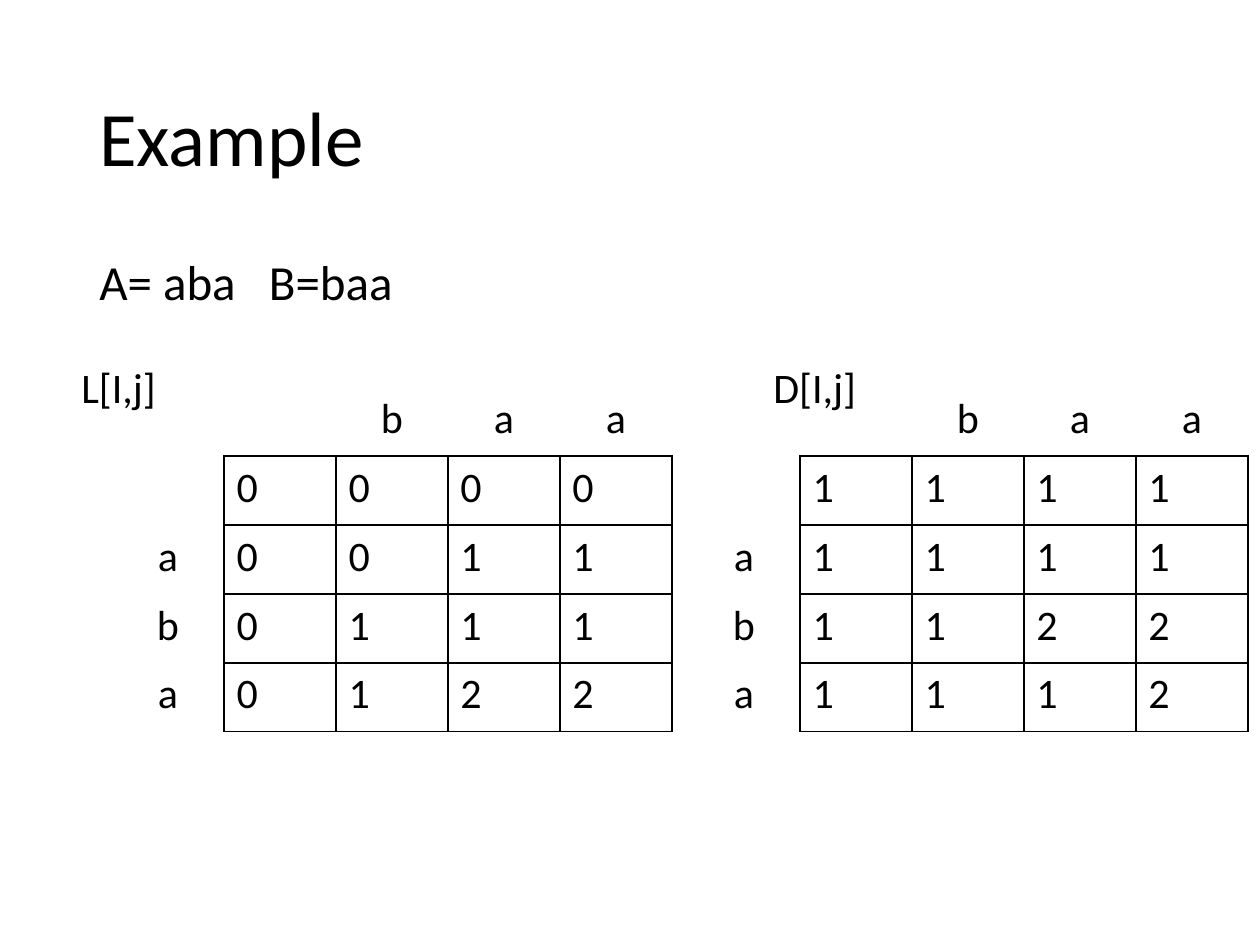
from dataclasses import dataclass

from lxml import etree
from pptx import Presentation
from pptx.dml.color import RGBColor
from pptx.enum.text import MSO_ANCHOR, MSO_AUTO_SIZE, PP_ALIGN
from pptx.oxml.ns import qn
from pptx.util import Emu, Pt

PX = 914400 // 126
FONT = "Calibri"
BLACK = "000000"
CENTER, LEFT = PP_ALIGN.CENTER, PP_ALIGN.LEFT
TOP, MIDDLE = MSO_ANCHOR.TOP, MSO_ANCHOR.MIDDLE
GROW, FIXED = MSO_AUTO_SIZE.SHAPE_TO_FIT_TEXT, MSO_AUTO_SIZE.NONE
TABLE_TOP, CELL_W, CELL_H = 387, 112, 69
COLUMN_LETTERS, ROW_LETTERS = "baa", "aba"


@dataclass
class Label:
    text: str
    left: int
    top: int
    width: int
    height: int
    size: int
    anchor: MSO_ANCHOR = TOP
    wrap: bool = True
    spacing: float = 1.0


@dataclass
class Matrix:
    left: int
    rows: list[str]


LABELS = [
    Label("Example", 87, 50, 1086, 183, 44, MIDDLE, spacing=0.9),
    Label("A= aba   B=baa", 87, 252, 1086, 600, 28, spacing=0.9),
    Label("L[I,j]", 69, 355, 101, 63, 24, wrap=False),
    Label("D[I,j]", 761, 355, 108, 63, 24, wrap=False),
]
MATRICES = [
    Matrix(112, ["0000", "0011", "0111", "0122"]),
    Matrix(688, ["1111", "1111", "1122", "1112"]),
]


def px(n: int) -> Emu:
    return Emu(n * PX)


def color(value: str) -> RGBColor:
    return RGBColor.from_string(value)


def style(p, size: int) -> None:
    p.font.name = FONT
    p.font.size = Pt(size)
    p.font.color.rgb = color(BLACK)


def add_label(s, label: Label) -> None:
    box = s.shapes.add_textbox(px(label.left), px(label.top), px(label.width), px(label.height))
    tf = box.text_frame
    tf.word_wrap = label.wrap
    tf.auto_size = FIXED if label.wrap else GROW
    tf.vertical_anchor = label.anchor
    p = tf.paragraphs[0]
    p.text = label.text
    p.line_spacing = label.spacing
    style(p, label.size)


def set_borders(cell, visible: str) -> None:
    """Draw the sides named in visible (of L, R, T, B) and clear the others."""
    tc_pr = cell._tc.get_or_add_tcPr()
    for side in "LRTB":
        ln = etree.SubElement(tc_pr, qn(f"a:ln{side}"), w=str(Pt(1)))
        if side in visible:
            fill = etree.SubElement(ln, qn("a:solidFill"))
            etree.SubElement(fill, qn("a:srgbClr"), val=BLACK)
        else:
            etree.SubElement(ln, qn("a:noFill"))


def add_matrix(s, matrix: Matrix) -> None:
    # Letters label the first row and column; the values fill the rest
    grid = ["  " + COLUMN_LETTERS]
    grid += [letter + row for letter, row in zip(" " + ROW_LETTERS, matrix.rows)]
    n = len(grid)
    table = s.shapes.add_table(n, n, px(matrix.left), px(TABLE_TOP),
                               px(n * CELL_W), px(n * CELL_H)).table
    table.first_row = table.horz_banding = False
    for column in table.columns:
        column.width = px(CELL_W)
    for i, row in enumerate(grid):
        table.rows[i].height = px(CELL_H)
        for j, text in enumerate(row):
            cell = table.cell(i, j)
            if i and j:
                set_borders(cell, "LRTB")
            else:
                set_borders(cell, "B" if j else "R" if i else "")
            cell.fill.background()
            p = cell.text_frame.paragraphs[0]
            p.text = text.strip()
            p.alignment = LEFT if i and j else CENTER
            style(p, 24)


def main() -> None:
    prs = Presentation()
    prs.slide_width, prs.slide_height = px(1260), px(945)
    s = prs.slides.add_slide(prs.slide_layouts[6])

    # Title, strings and table names
    for label in LABELS:
        add_label(s, label)

    # L[I,j] and D[I,j] tables
    for matrix in MATRICES:
        add_matrix(s, matrix)

    prs.save("out.pptx")


if __name__ == "__main__":
    main()
